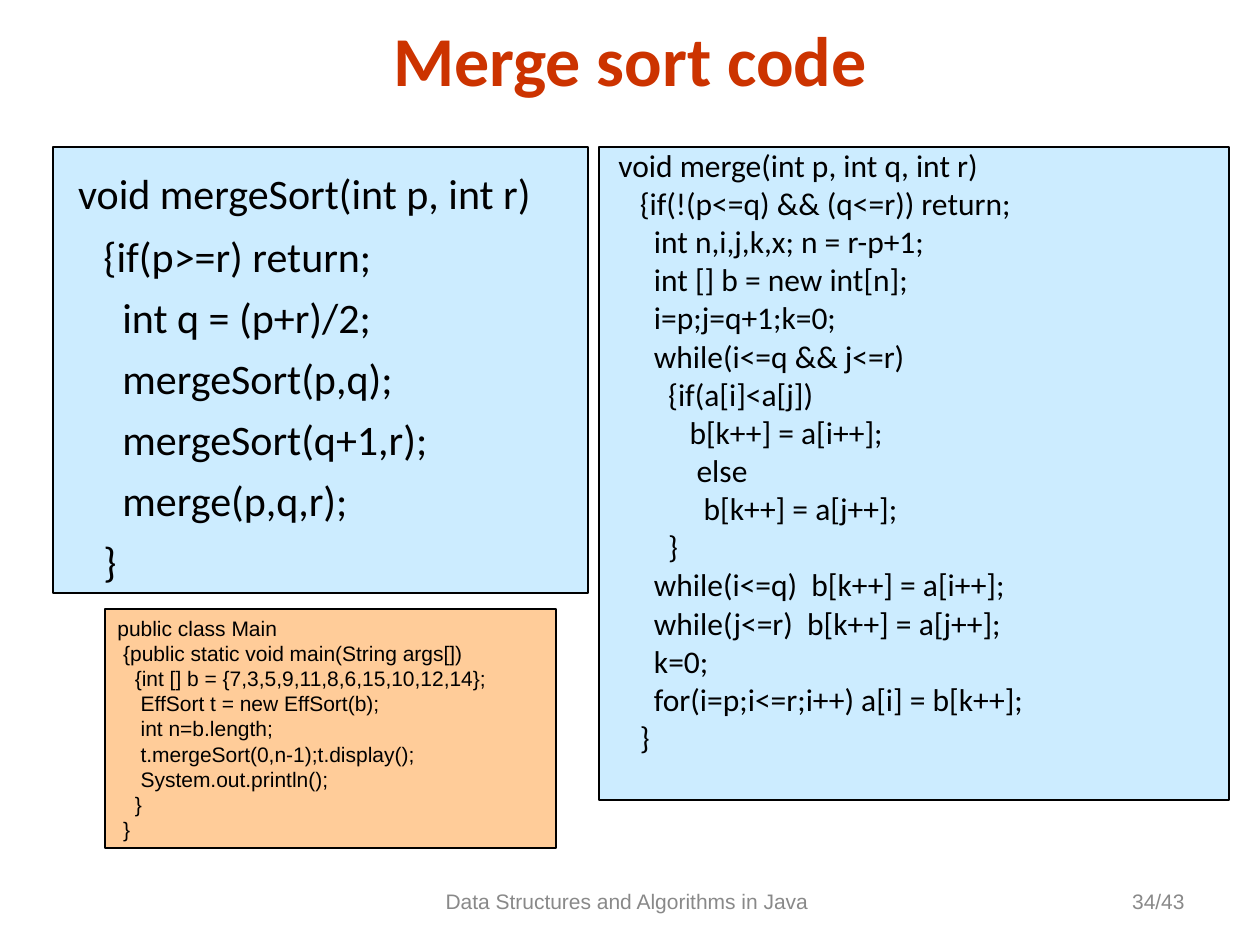
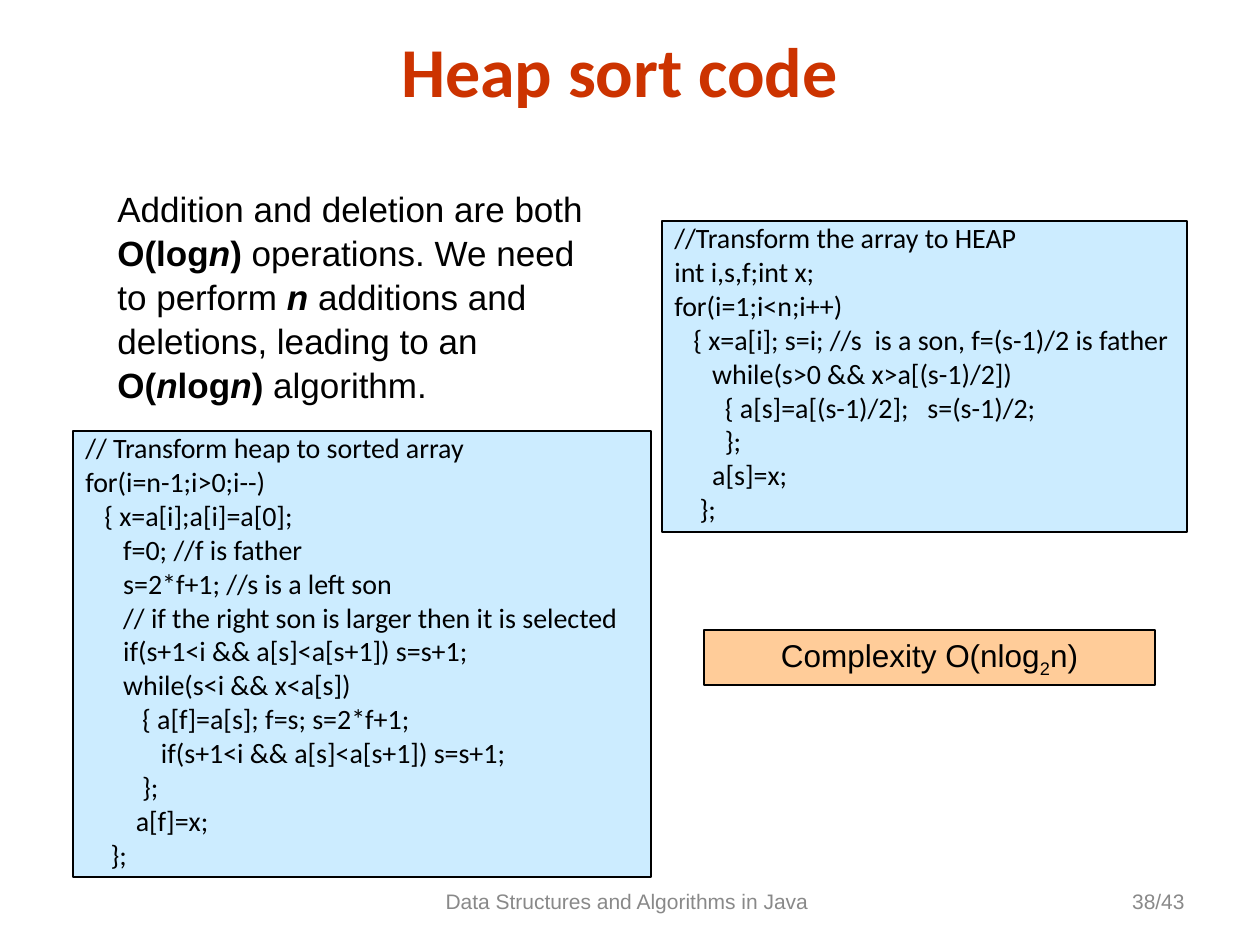
from pptx import Presentation
from pptx import util as u
from pptx.dml.color import RGBColor
from pptx.enum import shapes, text

SCALE = 914400 / 126
COLORS = {"title": "CC3300", "ink": "000000", "footer": "898989",
          "code": "CCECFF", "accent": "FFCC99"}
ALIGN = {"left": text.PP_ALIGN.LEFT, "center": text.PP_ALIGN.CENTER,
         "right": text.PP_ALIGN.RIGHT}
FOOTER = "Data Structures and Algorithms in Java "
PAGE_COUNT = 43
HANGING = 48

MERGE = """\
 void merge(int p, int q, int r)
    {if(!(p<=q) && (q<=r)) return;
      int n,i,j,k,x; n = r-p+1;
      int [] b = new int[n];
      i=p;j=q+1;k=0;
      while(i<=q && j<=r)
        {if(a[i]<a[j])
           b[k++] = a[i++];
            else
             b[k++] = a[j++];
        }
      while(i<=q)  b[k++] = a[i++];
      while(j<=r)  b[k++] = a[j++];
      k=0;
      for(i=p;i<=r;i++) a[i] = b[k++];
    }""".split("\n")

MAIN = """\
public class Main
 {public static void main(String args[])
   {int [] b = {7,3,5,9,11,8,6,15,10,12,14};
    EffSort t = new EffSort(b);
    int n=b.length;
    t.mergeSort(0,n-1);t.display();
    System.out.println();
   }
 }""".split("\n")

MERGE_SORT = [[(" ", {"size": 32}), ("void mergeSort(int p, int r)", {})]] + """\
    {if(p>=r) return;
      int q = (p+r)/2;
      mergeSort(p,q);
      mergeSort(q+1,r);
      merge(p,q,r);
    }""".split("\n")

HEAP_TO_SORTED = """\
// Transform heap to sorted array
for(i=n-1;i>0;i--)
   { x=a[i];a[i]=a[0];
      f=0; //f is father
      s=2*f+1; //s is a left son
      // if the right son is larger then it is selected
      if(s+1<i && a[s]<a[s+1]) s=s+1;
      while(s<i && x<a[s])
         { a[f]=a[s]; f=s; s=2*f+1;
            if(s+1<i && a[s]<a[s+1]) s=s+1;
         };
        a[f]=x;
    };""".split("\n")

ARRAY_TO_HEAP = """\
//Transform the array to HEAP
int i,s,f;int x;
for(i=1;i<n;i++)
   { x=a[i]; s=i; //s  is a son, f=(s-1)/2 is father
      while(s>0 && x>a[(s-1)/2])
        { a[s]=a[(s-1)/2];   s=(s-1)/2;
        };
      a[s]=x;
    };""".split("\n")

BOLD = {"bold": True}
BOLD_ITALIC = {"bold": True, "italic": True}
COST = [[("Addition and deletion are both ", {}), ("O(log", BOLD), ("n", BOLD_ITALIC),
         (")", BOLD), (" operations. We need to perform ", {}), ("n", BOLD_ITALIC),
         (" additions and deletions, leading to an ", {}), ("O(", BOLD),
         ("n", BOLD_ITALIC), ("log", BOLD), ("n", BOLD_ITALIC), (")", BOLD),
         (" algorithm.", {})]]
COMPLEXITY = [[("Complexity O(nlog", {}), ("2", {"sub": True}), ("n)", {})]]

CODE = {"fill": "code", "font": "Calibri", "hanging": HANGING}
TIGHT_18 = {**CODE, "size": 18, "spacing": 0.8, "before": 4.5}
TIGHT_16 = {**CODE, "size": 16, "spacing": 0.8, "before": 4}
LOOSE_24 = {**CODE, "size": 24, "before": 6}

PAGES = [
    {"number": 34, "title": "Merge sort code", "title_at": (63, 10, 1134, 97),
     "boxes": [(MERGE, (599, 147, 630, 653), TIGHT_18),
               (MAIN, (105, 609, 451, 239), {"fill": "accent", "size": 12}),
               (MERGE_SORT, (53, 147, 535, 446), LOOSE_24)]},
    {"number": 38, "title": "Heap sort code", "title_at": (84, 21, 1071, 97),
     "boxes": [(HEAP_TO_SORTED, (73, 431, 578, 446), TIGHT_16),
               (COMPLEXITY, (704, 630, 451, 55),
                {"fill": "accent", "size": 18, "align": "center"}),
               (COST, (105, 179, 514, 233), {"size": 20, "spacing": 1.05}),
               (ARRAY_TO_HEAP, (662, 221, 525, 311), TIGHT_16)]},
]


def px(length):
    return u.Emu(round(length * SCALE))


def color(name):
    return RGBColor.from_string(COLORS[name])


def add_text(page, lines, at, fill=None, font="Arial", size=12, ink="ink", bold=False,
             align="left", middle=False, hanging=0, spacing=None, before=0):
    place = [px(length) for length in at]
    if fill:
        box = page.shapes.add_shape(shapes.MSO_SHAPE.RECTANGLE, *place)
        box.shadow.inherit = False
        box.fill.solid()
        box.fill.fore_color.rgb = color(fill)
        box.line.color.rgb = color("ink")
        box.line.width = u.Pt(0.75)
    else:
        box = page.shapes.add_textbox(*place)
    frame = box.text_frame
    frame.word_wrap = True
    frame.vertical_anchor = text.MSO_ANCHOR.MIDDLE if middle else text.MSO_ANCHOR.TOP
    for index, line in enumerate(lines):
        para = frame.paragraphs[0] if index == 0 else frame.add_paragraph()
        para.alignment = ALIGN[align]
        if spacing:
            para.line_spacing = spacing
        if before and index:
            para.space_before = u.Pt(before)
        if hanging:
            properties = para._p.get_or_add_pPr()
            properties.set("marL", str(px(hanging)))
            properties.set("indent", str(-px(hanging)))
        for words, style in [(line, {})] if isinstance(line, str) else line:
            span = para.add_run()
            span.text = words
            span.font.name = font
            span.font.size = u.Pt(style.get("size", size))
            span.font.bold = style.get("bold", bold)
            span.font.italic = style.get("italic", False)
            span.font.color.rgb = color(ink)
            if style.get("sub"):
                span.font._element.set("baseline", "-25000")
    return box


def add_page(deck, content):
    page = deck.slides.add_slide(deck.slide_layouts[6])
    add_text(page, [FOOTER], (399, 876, 462, 50), ink="footer", align="center", middle=True)
    add_text(page, [f"{content['number']}/{PAGE_COUNT}"], (903, 876, 294, 50),
             ink="footer", align="right", middle=True)
    add_text(page, [content["title"]], content["title_at"], font="Calibri", size=40,
             ink="title", bold=True, align="center", middle=True)
    for lines, at, style in content["boxes"]:
        add_text(page, lines, at, **style)


def main():
    deck = Presentation()
    deck.slide_width, deck.slide_height = px(1260), px(945)
    for content in PAGES:
        add_page(deck, content)
    deck.save("out.pptx")


if __name__ == "__main__":
    main()
